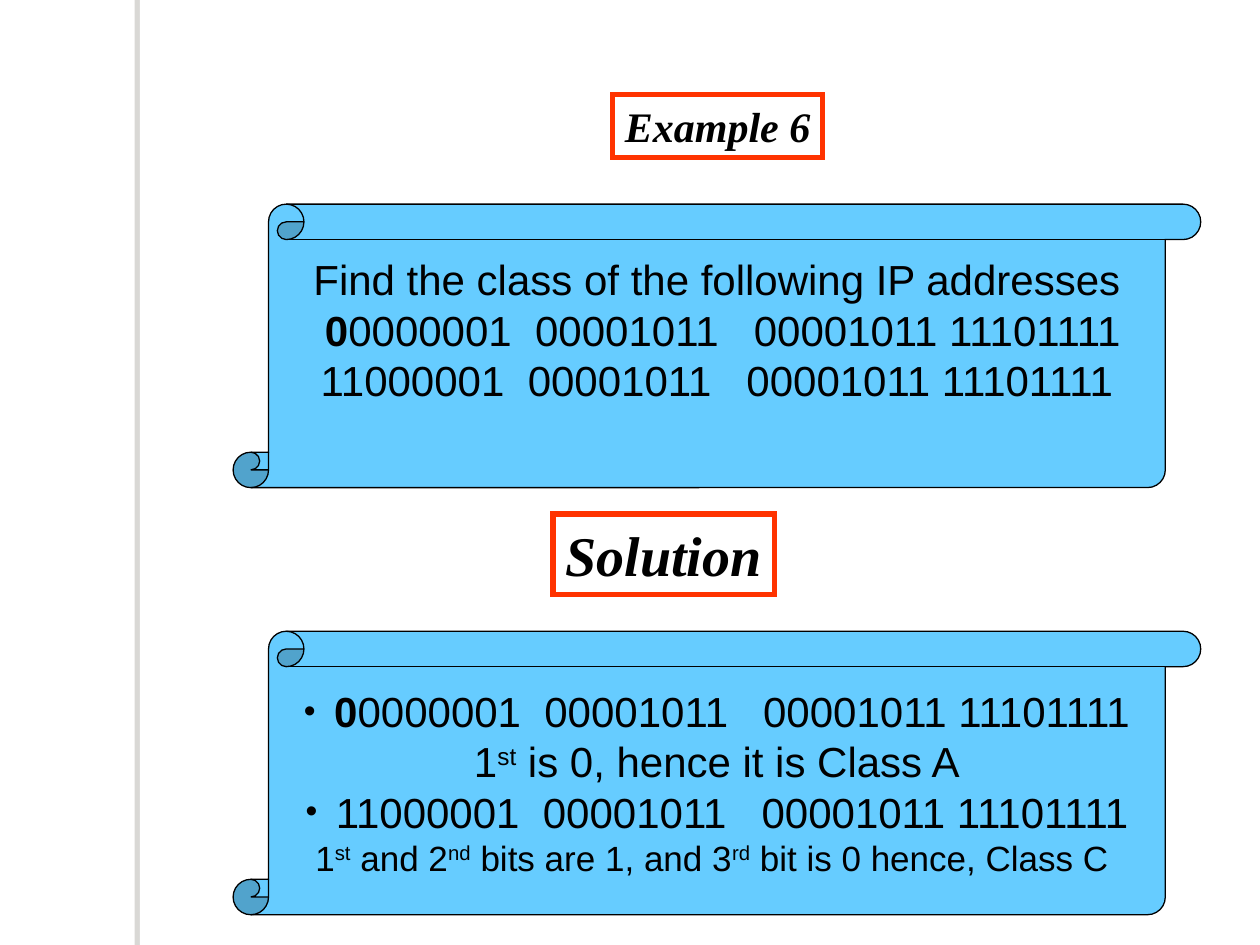
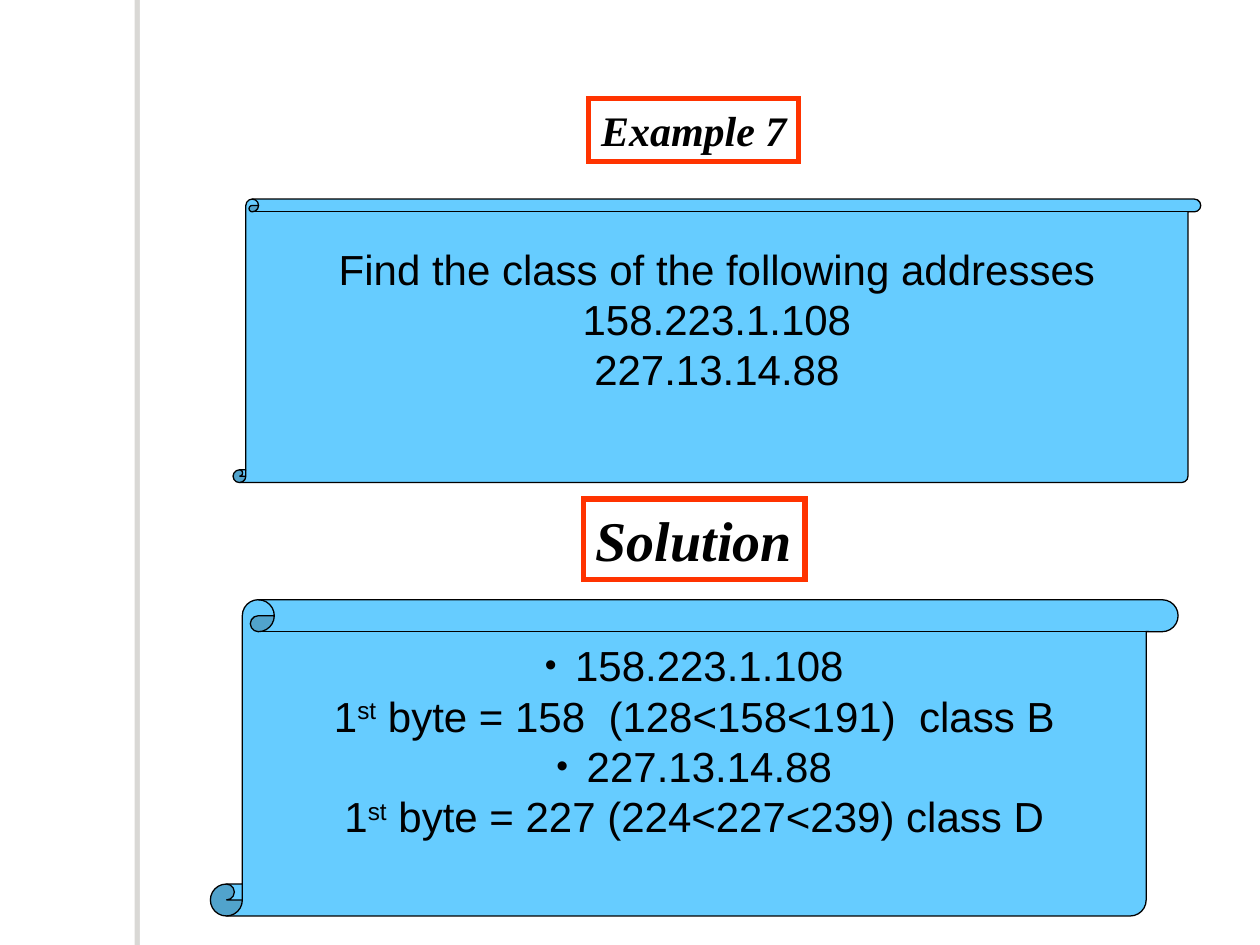
from lxml import etree
from pptx import Presentation
from pptx import util as u
from pptx.dml.color import RGBColor
from pptx.enum import shapes, text
from pptx.oxml import ns

WHITE = RGBColor(0xFF, 0xFF, 0xFF)
BLACK = RGBColor(0x00, 0x00, 0x00)
FRAME_RED = RGBColor(0xFF, 0x33, 0x00)
SCROLL_BLUE = RGBColor(0x66, 0xCC, 0xFF)
HEADING_FONT = "Times New Roman"
BODY_FONT = "Arial"
BULLET_INDENT = u.Inches(0.24)
LINE_FACTOR = 1.2
LINE_HEIGHT = u.Inches(0.4)
DRAWING = ns.nsdecls("a")

SHADOW = f"""<a:effectLst {DRAWING}><a:outerShdw dist="38100" dir="10800000">
<a:srgbClr val="706B5F"><a:alpha val="25000"/></a:srgbClr></a:outerShdw></a:effectLst>"""
SHARP_CORNERS = f'<a:miter {DRAWING} lim="800000"/>'
BULLET = [
    f'<a:buClr {DRAWING}><a:srgbClr val="000000"/></a:buClr>',
    f'<a:buSzPct {DRAWING} val="80000"/>',
    f'<a:buFont {DRAWING} typeface="Arial"/>',
    f'<a:buChar {DRAWING} char="•"/>',
]

DOUBLE_GAP = (" ", {"spc": "667"})
TRIPLE_GAP = (" ", {"spc": "1333"})
BOLD = {"b": "1"}
RAISED = {"baseline": "30000"}
FIRST = [("1", {}), ("st", RAISED)]
OCTETS = [DOUBLE_GAP, ("00001011", {}), TRIPLE_GAP, ("00001011 11101111", {})]
CLASS_A_ADDRESS = [("0", BOLD), ("0000001", {})] + OCTETS
CLASS_C_ADDRESS = [("11000001", {})] + OCTETS
CLASS_B_ADDRESS = [("158.223.1.108", {})]
CLASS_D_ADDRESS = [("227.13.14.88", {})]

EXAMPLES = [
    {
        "headings": [
            ("Example 6", 24, (4.86, 0.75, 1.67, 0.5)),
            ("Solution", 32, (4.39, 4.08, 1.76, 0.64)),
        ],
        "scrolls": [
            ((1.85, 1.62, 7.68, 2.25), 0.125, 1, [
                (24, False, [("Find the class of the following IP addresses", {})]),
                (24, False, [(" ", BOLD)] + CLASS_A_ADDRESS),
                (24, False, CLASS_C_ADDRESS),
            ]),
            ((1.85, 5.01, 7.68, 2.25), 0.125, 0, [
                (24, True, CLASS_A_ADDRESS),
                (24, False, FIRST + [(" is 0, hence it is Class A", {})]),
                (24, True, CLASS_C_ADDRESS),
                (20, False, FIRST + [
                    (" and 2", {}), ("nd", RAISED),
                    (" bits are 1, and 3", {}), ("rd", RAISED),
                    (" bit is 0 hence, Class C ", {}),
                ]),
            ]),
        ],
    },
    {
        "headings": [
            ("Example 7", 24, (4.67, 0.78, 1.67, 0.5)),
            ("Solution", 32, (4.63, 3.96, 1.76, 0.64)),
        ],
        "scrolls": [
            ((1.85, 1.58, 7.68, 2.25), 0.045, 1, [
                (24, False, [("Find the class of the following addresses", {})]),
                (24, False, CLASS_B_ADDRESS),
                (24, False, CLASS_D_ADDRESS),
            ]),
            ((1.67, 4.76, 7.68, 2.51), 0.101, 1, [
                (24, True, CLASS_B_ADDRESS),
                (24, False, FIRST + [
                    (" byte = 158", {}), DOUBLE_GAP,
                    ("(128<158<191)", {}), DOUBLE_GAP, ("class B", {}),
                ]),
                (24, True, CLASS_D_ADDRESS),
                (24, False, FIRST + [(" byte = 227 (224<227<239) class D", {})]),
            ]),
        ],
    },
]


def style_box(shape, fill, line, width, anchor):
    shape.fill.solid()
    shape.fill.fore_color.rgb = fill
    shape.line.color.rgb = line
    shape.line.width = u.Pt(width)
    shape._element.spPr.find(ns.qn("a:ln")).append(etree.fromstring(SHARP_CORNERS))
    frame = shape.text_frame
    frame.word_wrap = False
    frame.auto_size = text.MSO_AUTO_SIZE.NONE
    frame.vertical_anchor = anchor
    frame.margin_left = frame.margin_right = u.Inches(0.1)
    frame.margin_top = frame.margin_bottom = u.Inches(0.05)
    return frame


def fill_paragraph(paragraph, runs, size, font_name, alignment):
    paragraph.alignment = alignment
    paragraph.line_spacing = u.Pt(size * LINE_FACTOR)
    paragraph.space_before = u.Pt(0)
    for content, attributes in runs:
        run = paragraph.add_run()
        run.text = content
        run.font.name = font_name
        run.font.size = u.Pt(size)
        run.font.color.rgb = BLACK
        for key, value in attributes.items():
            run.font._element.set(key, value)


presentation = Presentation()
presentation.slide_width = u.Inches(10)
presentation.slide_height = u.Inches(7.5)
title_only = presentation.slide_layouts[5]
slides = [presentation.slides.add_slide(title_only) for example in EXAMPLES]

band = slides[0].shapes.add_shape(
    shapes.MSO_SHAPE.RECTANGLE, u.Inches(1.11), 0, u.Inches(0.08), u.Inches(7.5))
band.fill.solid()
band.fill.fore_color.rgb = WHITE
band.line.fill.background()
band._element.spPr.append(etree.fromstring(SHADOW))
presentation.slide_master.shapes._spTree.insert(2, band._element)

for slide, example in zip(slides, EXAMPLES):
    for index, (label, size, place) in enumerate(example["headings"]):
        place = [u.Inches(length) for length in place]
        if index == 0:
            heading = slide.shapes.title
            heading.left, heading.top, heading.width, heading.height = place
        else:
            heading = slide.shapes.add_textbox(*place)
        frame = style_box(heading, WHITE, FRAME_RED, 3, text.MSO_ANCHOR.TOP)
        if index == 0:
            frame.margin_right = 0
        fill_paragraph(frame.paragraphs[0], [(label, {"b": "1", "i": "1"})],
                       size, HEADING_FONT, text.PP_ALIGN.LEFT)

    for place, curl, spare_lines, lines in example["scrolls"]:
        scroll = slide.shapes.add_shape(
            shapes.MSO_SHAPE.VERTICAL_SCROLL, *[u.Inches(length) for length in place])
        scroll.adjustments[0] = curl
        scroll.shadow.inherit = False
        frame = style_box(scroll, SCROLL_BLUE, BLACK, 0.75, text.MSO_ANCHOR.MIDDLE)
        frame.margin_bottom = u.Inches(0.05) + spare_lines * LINE_HEIGHT
        for index, (size, bulleted, runs) in enumerate(lines):
            paragraph = frame.add_paragraph() if index else frame.paragraphs[0]
            if bulleted:
                properties = paragraph._p.get_or_add_pPr()
                properties.set("marL", str(BULLET_INDENT))
                properties.set("indent", str(-BULLET_INDENT))
                for element in BULLET:
                    properties.append(etree.fromstring(element))
            fill_paragraph(paragraph, runs, size, BODY_FONT, text.PP_ALIGN.CENTER)

presentation.save("out.pptx")
